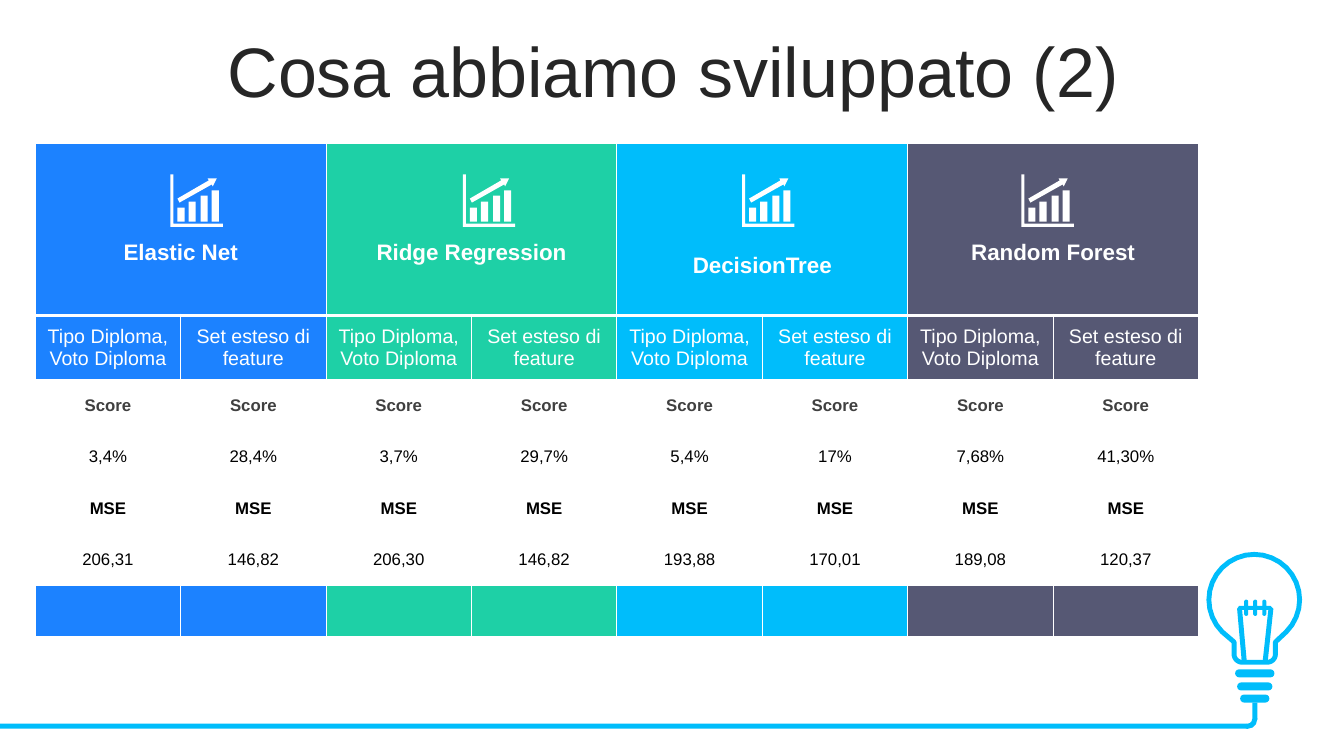
from math import cos, radians, sin

from lxml.etree import SubElement
from pptx import Presentation
from pptx.dml.color import RGBColor
from pptx.enum.shapes import MSO_SHAPE as Shape
from pptx.enum.text import MSO_ANCHOR as Anchor, PP_ALIGN as Align
from pptx.oxml.ns import qn
from pptx.util import Inches, Pt

COLORS = {
    "blue": "1C82FF", "green": "1ED0A6", "cyan": "00BDFB", "slate": "565874",
    "white": "FFFFFF", "title": "262626", "score": "404040", "black": "000000",
}
RGB = {name: RGBColor.from_string(value) for name, value in COLORS.items()}

prs = Presentation()
prs.slide_width, prs.slide_height = Inches(13.33), Inches(7.5)
slide = prs.slides.add_slide(prs.slide_layouts[6])
shapes = slide.shapes


def arc(x, y, radius, start, end):
    """Points along a circle; angles run clockwise from the right."""
    steps = 24
    angles = [radians(start + (end - start) * i / steps) for i in range(steps + 1)]
    return [(x + radius * cos(a), y + radius * sin(a)) for a in angles]


def add_outline(contours, color):
    """Draw closed contours, given in inches, as one filled shape."""
    contours = [[(Inches(x), Inches(y)) for x, y in points] for points in contours]
    builder = shapes.build_freeform(*contours[0][0])
    builder.add_line_segments(contours[0][1:])
    for points in contours[1:]:
        builder.move_to(*points[0])
        builder.add_line_segments(points[1:])
    outline = builder.convert_to_shape()
    outline.shadow.inherit = False
    outline.fill.solid()
    outline.fill.fore_color.rgb = RGB[color]
    outline.line.fill.background()
    return outline


# Light bulb
glass = add_outline([
    arc(12.44, 5.95, 0.45, 135, 405)
    + [(12.65, 6.37)] + arc(12.57, 6.49, 0.08, 0, 90)
    + arc(12.32, 6.49, 0.08, 90, 180) + [(12.24, 6.37)]
], "white")
glass.line.color.rgb = RGB["cyan"]
glass.line.width = Pt(3.5)

prongs = [12.36, 12.45, 12.54]
filament = [(12.29, 6.01)]
for x in prongs:
    filament += [(x - 0.02, 6.01), *arc(x, 5.97, 0.02, 180, 360), (x + 0.02, 6.01)]
filament += [(12.6, 6.01), (12.63, 6.04), *arc(12.55, 6.55, 0.025, 0, 180), (12.58, 6.05)]
for x in reversed(prongs):
    filament += [(x + 0.02, 6.05), *arc(x, 6.09, 0.02, 0, 180), (x - 0.02, 6.05)]
filament += [(12.32, 6.05), *arc(12.34, 6.55, 0.025, 0, 180), (12.27, 6.04)]
add_outline([filament], "cyan")

# Bulb base and cable
cyan_parts = [
    (Shape.ROUNDED_RECTANGLE, 12.25, 6.64, 0.39, 0.08, [0.5]),
    (Shape.ROUNDED_RECTANGLE, 12.27, 6.77, 0.35, 0.08, [0.5]),
    (Shape.ROUNDED_RECTANGLE, 12.3, 6.89, 0.29, 0.08, [0.5]),
    (Shape.RECTANGLE, 0, 7.18, 12.37, 0.05, []),
    (Shape.RECTANGLE, 12.42, 6.97, 0.05, 0.17, []),
    (Shape.BLOCK_ARC, 12.28, 7.04, 0.19, 0.19, [213.39, 60.92, 0.27]),
]
for kind, left, top, width, height, adjustments in cyan_parts:
    part = shapes.add_shape(kind, Inches(left), Inches(top), Inches(width), Inches(height))
    part.shadow.inherit = False
    part.fill.solid()
    part.fill.fore_color.rgb = RGB["cyan"]
    part.line.fill.background()
    for i, value in enumerate(adjustments):
        part.adjustments[i] = value

# Title
title = shapes.add_textbox(Inches(0.35), Inches(0.37), Inches(12.66), Inches(0.79)).text_frame
title.word_wrap = True
title.vertical_anchor = Anchor.MIDDLE
heading = title.paragraphs[0]
heading.text = "Cosa abbiamo sviluppato (2)"
heading.alignment = Align.CENTER
heading.line_spacing = 0.8
heading.font.name = "Arial"
heading.font.size = Pt(50)
heading.font.color.rgb = RGB["title"]

# Results: model, colour, top margin of the heading, left edge of the icon
models = [
    ("Elastic Net", "blue", 0.52, 1.69),
    ("Ridge Regression", "green", 0.52, 4.59),
    ("DecisionTree", "cyan", 0.78, 7.36),
    ("Random Forest", "slate", 0.52, 10.13),
]
count = 2 * len(models)
model_cells = [text for name, *_ in models for text in (name, "")]
rows = [
    (model_cells, 1.71, "white", {"size": Pt(16), "bold": True}),
    (["Tipo Diploma, Voto Diploma", "Set esteso di feature"] * len(models),
     0.64, "white", {"size": Pt(14), "bold": False}),
    (["Score"] * count, 0.51, "score", {"size": Pt(12), "bold": True}),
    (["3,4%", "28,4%", "3,7%", "29,7%", "5,4%", "17%", "7,68%", "41,30%"],
     0.51, "black", {"size": Pt(12), "bold": False}),
    (["MSE"] * count, 0.51, "black", {"size": Pt(12), "bold": True}),
    (["206,31", "146,82", "206,30", "146,82", "193,88", "170,01", "189,08", "120,37"],
     0.51, "black", {"size": Pt(12), "bold": False}),
    ([""] * count, 0.51, "white", {"size": Pt(12), "bold": False}),
]
colored_rows = (0, 1, len(rows) - 1)
results = shapes.add_table(len(rows), count, Inches(0.35), Inches(1.42),
                           Inches(11.54), Inches(4.89)).table
results.horz_banding = False
for column in results.columns:
    column.width = Inches(11.54 / count)

for r, (texts, height, text_color, font_format) in enumerate(rows):
    results.rows[r].height = Inches(height)
    for c, text in enumerate(texts):
        cell = results.cell(r, c)
        _, model_color, heading_margin, _ = models[c // 2]
        cell.vertical_anchor = Anchor.MIDDLE
        thick_edge = {0: "lnB", 1: "lnT"}.get(r)
        for edge in ("lnL", "lnR", "lnT", "lnB"):
            width = Pt(3 if edge == thick_edge else 1)
            border = SubElement(cell._tc.get_or_add_tcPr(), qn(f"a:{edge}"), w=str(width))
            border_fill = SubElement(border, qn("a:solidFill"))
            SubElement(border_fill, qn("a:srgbClr"), val=COLORS["white"])
        cell.fill.solid()
        cell.fill.fore_color.rgb = RGB[model_color if r in colored_rows else "white"]
        if r == 0:
            cell.margin_top = Inches(heading_margin)
        paragraph = cell.text_frame.paragraphs[0]
        paragraph.alignment = Align.CENTER
        if text:
            run = paragraph.add_run()
            run.text = text
            run.font.name = "Arial"
            run.font.color.rgb = RGB[text_color]
            for key, value in font_format.items():
                setattr(run.font, key, value)

for c in range(0, count, 2):
    results.cell(0, c).merge(results.cell(0, c + 1))

# Growth chart icons
bars = [(0.07, 0.33), (0.18, 0.27), (0.3, 0.21), (0.41, 0.16)]
growth = [[(x, y), (x + 0.07, y), (x + 0.07, 0.47), (x, 0.47)] for x, y in bars]
growth += [
    [(0.37, 0.04), (0.46, 0.04), (0.42, 0.12), (0.41, 0.1),
     (0.09, 0.28), (0.07, 0.24), (0.38, 0.06)],
    [(0, 0), (0.03, 0), (0.03, 0.49), (0.52, 0.49), (0.52, 0.52), (0, 0.52)],
]
for *_, left in models:
    add_outline([[(left + x, 1.73 + y) for x, y in points] for points in growth], "white")

prs.save("out.pptx")
